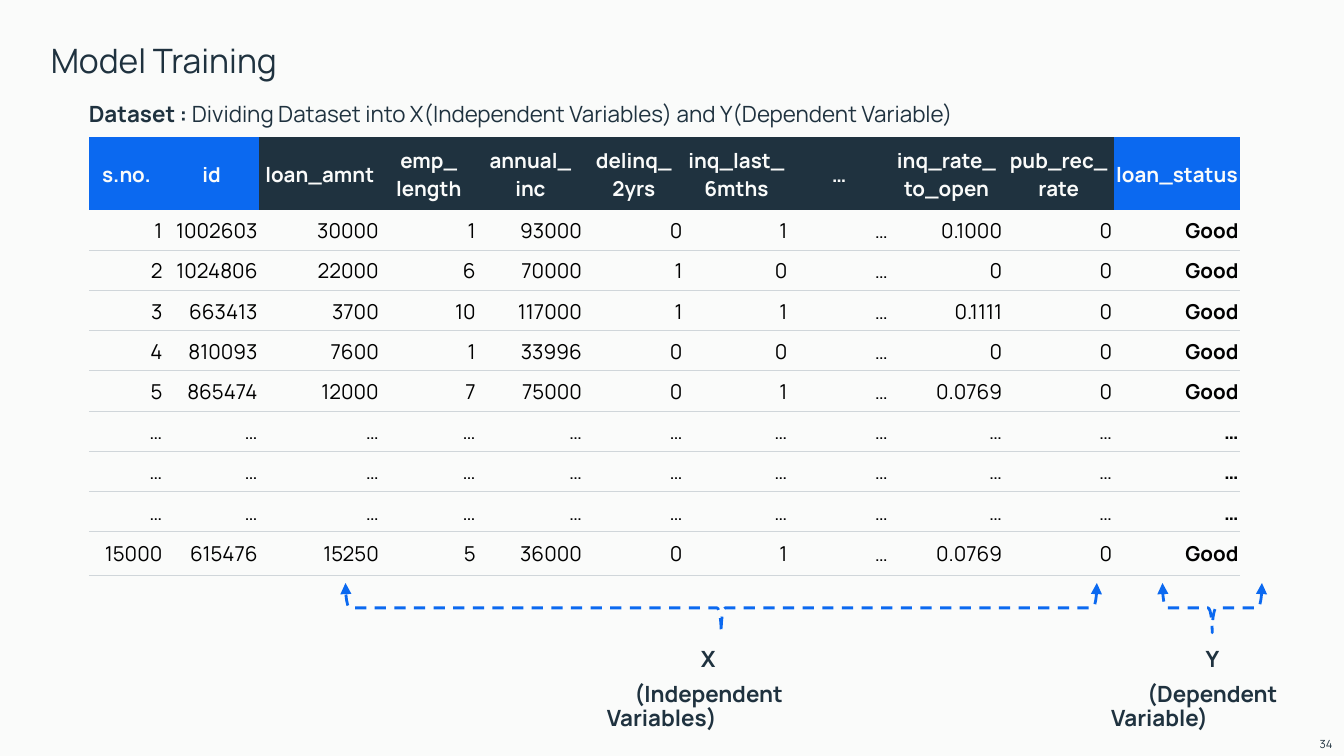
from lxml.etree import SubElement
from pptx import Presentation
from pptx.dml.color import RGBColor
from pptx.enum.dml import MSO_LINE
from pptx.enum.shapes import MSO_SHAPE
from pptx.enum.text import MSO_ANCHOR, MSO_AUTO_SIZE, PP_ALIGN
from pptx.oxml import parse_xml
from pptx.oxml.ns import nsdecls, qn
from pptx.util import Cm, Pt

FONT = "Manrope"
PAPER, INK, BLUE, RULE, BLACK = "FAFBFA", "1F323F", "0B69F0", "D0D6DA", "000000"
NO_STYLE_NO_GRID = "{2D5ABB26-0587-4C30-8999-92F81FD0307C}"

TITLE = "Model Training"
SUBTITLE = [
    ("Dataset : ", True),
    ("Dividing Dataset into X(Independent Variables) and Y(Dependent Variable)", False),
]
PAGE_NUMBER = "34"

# heading, width in cm, heading fill
COLUMNS = [
    ("s.no.", 1.42, BLUE),
    ("id", 1.8, BLUE),
    ("loan_amnt", 2.29, INK),
    ("emp_\nlength", 1.83, INK),
    ("annual_\ninc", 2.01, INK),
    ("delinq_\n2yrs", 1.9, INK),
    ("inq_last_\n6mths", 1.98, INK),
    ("…", 1.9, INK),
    ("inq_rate_\nto_open", 2.16, INK),
    ("pub_rec_\nrate", 2.08, INK),
    ("loan_status", 2.39, BLUE),
]
ELISION = ["…"] * len(COLUMNS)
LOANS = [
    ["1", "1002603", "30000", "1", "93000", "0", "1", "…", "0.1000", "0", "Good"],
    ["2", "1024806", "22000", "6", "70000", "1", "0", "…", "0", "0", "Good"],
    ["3", "663413", "3700", "10", "117000", "1", "1", "…", "0.1111", "0", "Good"],
    ["4", "810093", "7600", "1", "33996", "0", "0", "…", "0", "0", "Good"],
    ["5", "865474", "12000", "7", "75000", "0", "1", "…", "0.0769", "0", "Good"],
    ELISION, ELISION, ELISION,
    ["15000", "615476", "15250", "5", "36000", "0", "1", "…", "0.0769", "0", "Good"],
]
HEADER_HEIGHT, ROW_HEIGHT, LAST_ROW_HEIGHT = 1.38, 0.76, 0.82

# letter, meaning, brace centre, brace span, label left, first-line indent (cm)
GROUPS = [
    ("X", "(Independent Variables)", 13.63, 14.2, 11.2, 0.52),
    ("Y", "(Dependent Variable)", 22.91, 1.88, 20.73, 0.68),
]
BRACE_MIDDLE, BRACE_DEPTH = 11.49, 0.94
LABEL_TOP, LABEL_WIDTH, LABEL_HEIGHT, LABEL_MARGIN = 12.24, 4.37, 1.6, 0.27


def color(hex_value):
    return RGBColor.from_string(hex_value)


def set_all(target, values):
    for name, value in values.items():
        setattr(target, name, value)


def style_font(font, size, hex_value, bold=False):
    set_all(font, {"name": FONT, "size": Pt(size), "bold": bold})
    font.color.rgb = color(hex_value)


def format_frame(frame, anchor, wrap=True):
    set_all(frame, {
        "margin_left": 0, "margin_right": 0, "margin_top": 0, "margin_bottom": 0,
        "vertical_anchor": anchor, "word_wrap": wrap, "auto_size": MSO_AUTO_SIZE.NONE,
    })


def add_text_frame(slide, box, anchor=MSO_ANCHOR.MIDDLE, wrap=True):
    frame = slide.shapes.add_textbox(*map(Cm, box)).text_frame
    format_frame(frame, anchor, wrap)
    return frame


def fill_cell(cell, text, fill, align, ink, bold):
    cell.text = text
    set_all(cell, {
        "margin_left": Cm(0.03), "margin_right": Cm(0.03), "margin_top": Cm(0.03),
        "margin_bottom": 0, "vertical_anchor": MSO_ANCHOR.MIDDLE,
    })
    cell.fill.solid()
    cell.fill.fore_color.rgb = color(fill)
    for paragraph in cell.text_frame.paragraphs:
        paragraph.alignment = align
        for run in paragraph.runs:
            style_font(run.font, 11, ink, bold)


def rule_below(cell):
    border = parse_xml(
        f'<a:lnB {nsdecls("a")} w="{Pt(0.5)}"><a:solidFill>'
        f'<a:srgbClr val="{RULE}"/></a:solidFill></a:lnB>')
    cell._tc.get_or_add_tcPr().insert(0, border)


def add_loan_table(slide):
    heights = [HEADER_HEIGHT] + [ROW_HEIGHT] * (len(LOANS) - 1) + [LAST_ROW_HEIGHT]
    width = sum(column[1] for column in COLUMNS)
    table = slide.shapes.add_table(
        len(heights), len(COLUMNS), Cm(1.68), Cm(2.59), Cm(width), Cm(sum(heights))).table
    set_all(table, {"first_row": False, "horz_banding": False})
    table._tbl.tblPr.find(qn("a:tableStyleId")).text = NO_STYLE_NO_GRID
    for row, height in zip(table.rows, heights):
        row.height = Cm(height)
    for c, (heading, column_width, fill) in enumerate(COLUMNS):
        table.columns[c].width = Cm(column_width)
        fill_cell(table.cell(0, c), heading, fill, PP_ALIGN.CENTER, PAPER, True)
        for r, loan in enumerate(LOANS, start=1):
            cell = table.cell(r, c)
            fill_cell(cell, loan[c], PAPER, PP_ALIGN.RIGHT, BLACK, heading == "loan_status")
            rule_below(cell)


def add_brace(slide, center, span):
    """Add a dashed brace that opens upward, with arrowheads at both ends."""
    brace = slide.shapes.add_shape(
        MSO_SHAPE.LEFT_BRACE, Cm(center - BRACE_DEPTH / 2), Cm(BRACE_MIDDLE - span / 2),
        Cm(BRACE_DEPTH), Cm(span))
    brace.rotation = 270
    brace.shadow.inherit = False
    brace.fill.background()
    brace.line.color.rgb = color(BLUE)
    set_all(brace.line, {"width": Pt(1.5), "dash_style": MSO_LINE.DASH})
    outline = brace.line._get_or_add_ln()
    for end in ("a:headEnd", "a:tailEnd"):
        SubElement(outline, qn(end), type="triangle")


def add_group_label(slide, letter, meaning, left, indent):
    frame = add_text_frame(slide, (left, LABEL_TOP, LABEL_WIDTH, LABEL_HEIGHT))
    frame.text = f"{letter}\n{meaning}"
    heading, explanation = frame.paragraphs
    heading.alignment = PP_ALIGN.CENTER
    set_all(explanation, {"alignment": PP_ALIGN.LEFT, "space_before": Pt(6)})
    properties = explanation._p.get_or_add_pPr()
    properties.set("marL", str(Cm(LABEL_MARGIN)))
    properties.set("indent", str(Cm(indent)))
    for paragraph in frame.paragraphs:
        paragraph.line_spacing = 0.9
        style_font(paragraph.runs[0].font, 12, INK, True)


def main():
    deck = Presentation()
    set_all(deck, {"slide_width": Cm(25.4), "slide_height": Cm(14.29)})
    slide = deck.slides.add_slide(deck.slide_layouts[5])
    slide.background.fill.solid()
    slide.background.fill.fore_color.rgb = color(PAPER)

    title = slide.shapes.title
    set_all(title, {"left": Cm(0.96), "top": Cm(0.76), "width": Cm(23.5), "height": Cm(0.86)})
    title.text = TITLE
    format_frame(title.text_frame, MSO_ANCHOR.TOP)
    heading = title.text_frame.paragraphs[0]
    heading.alignment = PP_ALIGN.LEFT
    style_font(heading.runs[0].font, 18, INK)

    subtitle = add_text_frame(slide, (1.68, 1.95, 20.3, 0.47)).paragraphs[0]
    subtitle.line_spacing = 0.9
    for text, bold in SUBTITLE:
        run = subtitle.add_run()
        run.text = text
        style_font(run.font, 12, INK, bold)

    add_loan_table(slide)
    for letter, meaning, center, span, left, indent in GROUPS:
        add_brace(slide, center, span)
        add_group_label(slide, letter, meaning, left, indent)

    number = add_text_frame(slide, (24.94, 13.87, 0.25, 0.4), wrap=False).paragraphs[0]
    number.text = PAGE_NUMBER
    style_font(number.runs[0].font, 6, INK)

    deck.save("out.pptx")


if __name__ == "__main__":
    main()
